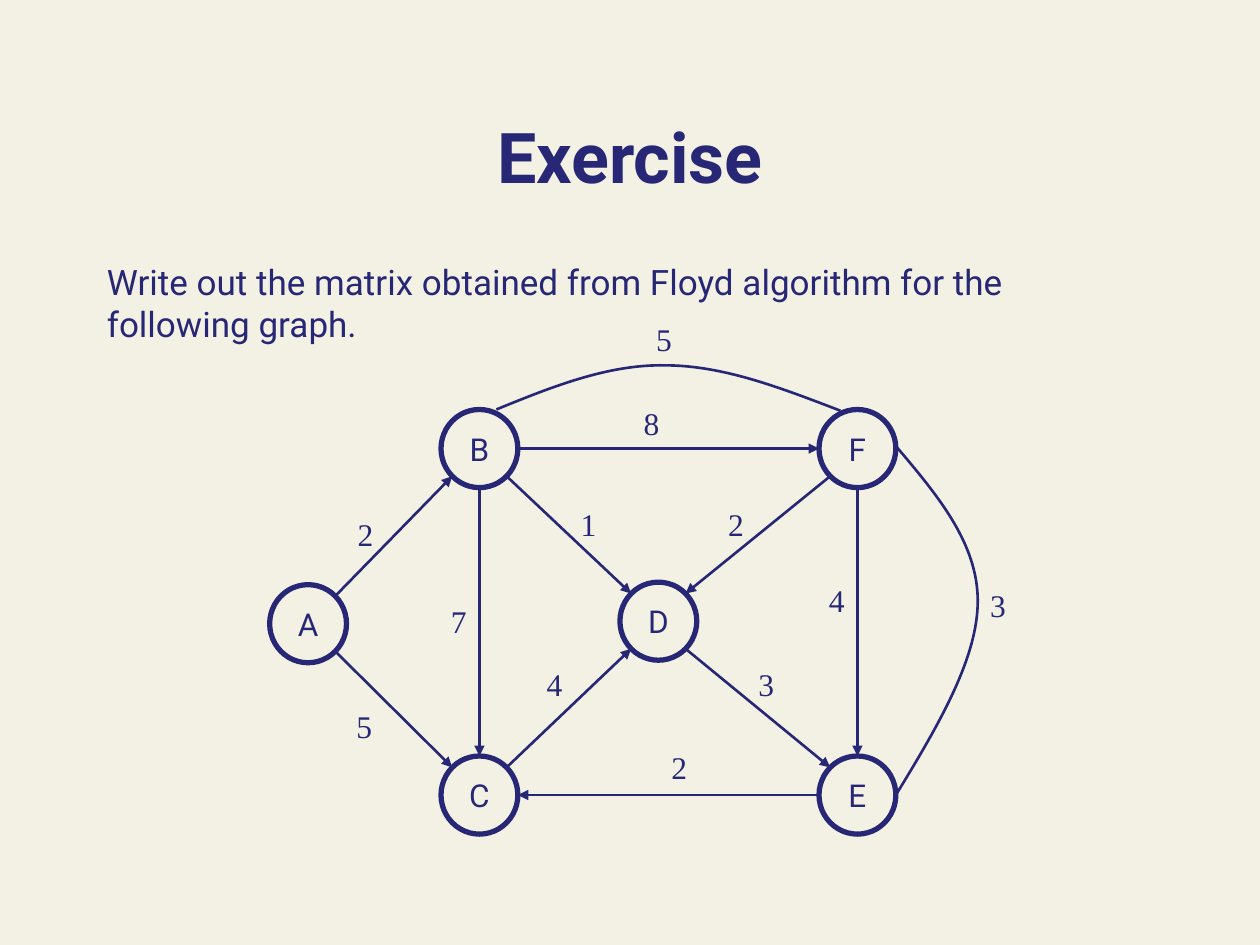
from dataclasses import dataclass
from math import cos, radians, sin

from lxml.etree import SubElement
from pptx import Presentation
from pptx.dml.color import RGBColor
from pptx.enum.shapes import MSO_CONNECTOR as Link, MSO_SHAPE as Form
from pptx.enum.text import MSO_ANCHOR as Anchor, PP_ALIGN as Align
from pptx.oxml.ns import qn
from pptx.util import Inches, Pt

COLORS = {"ink": "272776", "paper": "F3F1E4"}
SANS, SERIF = "Roboto", "Times New Roman"
NODE_W, NODE_H = 0.61, 0.62
LABEL_W, LABEL_H = 0.33, 0.4

# Connection sites of an oval, counted anticlockwise from the top
TOP, TOP_LEFT, LEFT, LOW_LEFT, LOW, LOW_RIGHT, RIGHT, TOP_RIGHT = range(8)


@dataclass
class Node:
    name: str
    left: float
    top: float

    def site(self, index: int) -> tuple[float, float]:
        turn = radians(90 + 45 * index)
        return (self.left + NODE_W / 2 * (1 + cos(turn)),
                self.top + NODE_H / 2 * (1 - sin(turn)))


@dataclass
class Edge:
    start: str
    out: int
    end: str
    into: int
    cost: str
    label: tuple[float, float]


@dataclass
class Curve:
    """A chain of cubic curves: a start point, then three points per curve."""
    points: list[tuple[float, float]]
    cost: str
    label: tuple[float, float]


NODES = [
    Node("A", 2.14, 4.64),
    Node("B", 3.5, 3.25),
    Node("C", 3.5, 6),
    Node("D", 4.92, 4.62),
    Node("F", 6.5, 3.25),
    Node("E", 6.5, 6),
]
EDGES = [
    Edge("A", TOP_RIGHT, "B", LOW_LEFT, "2", (2.74, 4.04)),
    Edge("A", LOW_RIGHT, "C", TOP_LEFT, "5", (2.73, 5.56)),
    Edge("B", LOW, "C", TOP, "7", (3.48, 4.73)),
    Edge("B", RIGHT, "F", LEFT, "8", (5.01, 3.16)),
    Edge("B", LOW_RIGHT, "D", TOP_LEFT, "1", (4.51, 3.96)),
    Edge("F", LOW_LEFT, "D", TOP_RIGHT, "2", (5.68, 3.96)),
    Edge("C", TOP_RIGHT, "D", LOW_LEFT, "4", (4.24, 5.23)),
    Edge("D", LOW_RIGHT, "E", TOP_LEFT, "3", (5.92, 5.23)),
    Edge("E", LEFT, "C", RIGHT, "2", (5.23, 5.89)),
    Edge("F", LOW, "E", TOP, "4", (6.48, 4.56)),
]
CURVES = [
    Curve([(7.11, 6.31), (7.44, 5.77), (7.76, 5.23), (7.76, 4.77),
           (7.76, 4.31), (7.44, 3.93), (7.11, 3.54)], "3", (7.76, 4.6)),
    Curve([(6.67, 3.26), (6.2, 3.08), (5.74, 2.9), (5.28, 2.9),
           (4.83, 2.89), (4.38, 3.07), (3.94, 3.25)], "5", (5.11, 2.49)),
]


def color(name: str) -> RGBColor:
    return RGBColor.from_string(COLORS[name])


def write(shape, text: str, *, size: float = 18, font: str = SANS,
          bold: bool = False, align=Align.LEFT, anchor=Anchor.TOP,
          wrap: bool = True) -> None:
    frame = shape.text_frame
    frame.word_wrap = wrap
    frame.vertical_anchor = anchor
    para = frame.paragraphs[0]
    para.alignment = align
    run = para.add_run()
    run.text = text
    run.font.size = Pt(size)
    run.font.name = font
    run.font.bold = bold
    run.font.color.rgb = color("ink")


def add_text(slide, text: str, left: float, top: float, width: float,
             height: float, **style) -> None:
    box = slide.shapes.add_textbox(Inches(left), Inches(top),
                                   Inches(width), Inches(height))
    write(box, text, **style)


def add_cost(slide, item: Edge | Curve) -> None:
    add_text(slide, item.cost, *item.label, LABEL_W, LABEL_H, font=SERIF)


def ink_line(shape, width: float) -> None:
    shape.line.color.rgb = color("ink")
    shape.line.width = Pt(width)


def add_node(slide, node: Node):
    oval = slide.shapes.add_shape(Form.OVAL, Inches(node.left), Inches(node.top),
                                  Inches(NODE_W), Inches(NODE_H))
    oval.shadow.inherit = False
    oval.fill.solid()
    oval.fill.fore_color.rgb = color("paper")
    ink_line(oval, 3)
    write(oval, node.name, align=Align.CENTER, anchor=Anchor.MIDDLE, wrap=False)
    return oval


def add_edge(slide, edge: Edge, nodes: dict[str, Node], ovals: dict) -> None:
    """Draw an arrow glued to the oval sites, which begin_connect cannot reach."""
    ends = nodes[edge.start].site(edge.out) + nodes[edge.end].site(edge.into)
    arrow = slide.shapes.add_connector(Link.STRAIGHT, *map(Inches, ends))
    ink_line(arrow, 1.5)
    SubElement(arrow.line._get_or_add_ln(), qn("a:tailEnd"), type="triangle")
    SubElement(arrow._element.spPr, qn("a:effectLst"))
    glue = arrow._element.find(".//" + qn("p:cNvCxnSpPr"))
    for tag, name, site in (("a:stCxn", edge.start, edge.out),
                            ("a:endCxn", edge.end, edge.into)):
        SubElement(glue, qn(tag), id=str(ovals[name].shape_id), idx=str(site))


def add_curve(slide, curve: Curve) -> None:
    """Outline all points, then turn each three line steps into a cubic."""
    points = [(Inches(x), Inches(y)) for x, y in curve.points]
    pen = slide.shapes.build_freeform(*points[0])
    pen.add_line_segments(points[1:], close=False)
    shape = pen.convert_to_shape()
    shape.shadow.inherit = False
    shape.fill.background()
    ink_line(shape, 1.5)
    track = shape._element.find(".//" + qn("a:path"))
    steps = track.findall(qn("a:lnTo"))
    for first in range(0, len(steps), 3):
        cubic = SubElement(track, qn("a:cubicBezTo"))
        for step in steps[first:first + 3]:
            cubic.append(step[0])
            track.remove(step)


def main() -> None:
    deck = Presentation()
    deck.slide_width, deck.slide_height = Inches(10), Inches(7.5)
    slide = deck.slides.add_slide(deck.slide_layouts[6])
    slide.background.fill.solid()
    slide.background.fill.fore_color.rgb = color("paper")

    add_text(slide, "Exercise", 0.75, 0.54, 8.5, 1.08, size=40, bold=True,
             align=Align.CENTER, anchor=Anchor.BOTTOM)
    add_text(slide, "Write out the matrix obtained from Floyd algorithm "
             "for the following graph.", 0.75, 2.02, 8.5, 4.57, size=20)

    nodes = {node.name: node for node in NODES}
    ovals = {node.name: add_node(slide, node) for node in NODES}
    for edge in EDGES:
        add_edge(slide, edge, nodes, ovals)
    for curve in CURVES:
        add_curve(slide, curve)
    for item in EDGES + CURVES:
        add_cost(slide, item)
    deck.save("out.pptx")


if __name__ == "__main__":
    main()
